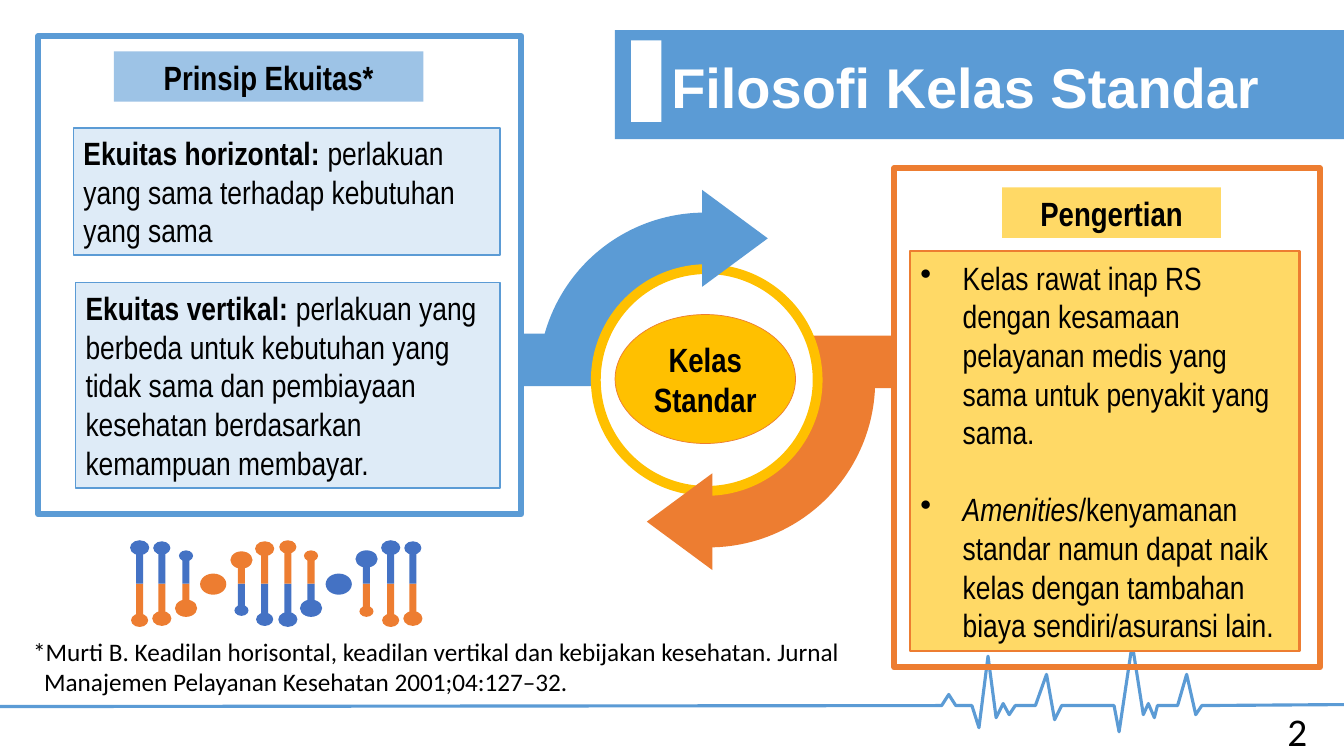
from lxml import etree
from pptx import Presentation
from pptx.dml.color import RGBColor
from pptx.enum.shapes import MSO_SHAPE
from pptx.enum.text import MSO_ANCHOR, PP_ALIGN
from pptx.oxml.ns import qn
from pptx.util import Inches, Pt

BLUE, ORANGE, GOLD = "5B9BD5", "ED7D31", "FFC000"
HEADING_BLUE, PALE_BLUE, DEEP_BLUE = "9DC3E6", "DEEBF7", "4472C4"
YELLOW, WHITE, BLACK = "FFD966", "FFFFFF", "000000"
NARROW = "Arial Narrow"

PULSE = [
    (0, 7.01), (9.34, 7), (9.41, 6.89), (9.48, 7), (9.64, 7), (9.71, 7.22),
    (9.8, 6.51), (9.88, 7.12), (9.95, 6.98), (10.01, 7.09), (10.07, 7),
    (10.27, 7), (10.38, 6.69), (10.46, 7.14), (10.53, 7), (11.05, 7),
    (11.1, 7.26), (11.23, 6.39), (11.34, 7.09), (11.39, 6.98), (11.45, 7.12),
    (11.48, 7), (11.68, 7), (11.77, 6.69), (11.86, 7.09), (11.92, 7), (13.33, 6.99),
]

# Each strand: centre x, reach from the axis, upper and lower ball widths.
HELIX_AXIS = 5.79
HELIX = [
    (DEEP_BLUE, ORANGE, [(1.385, 0.43, 0.19, 0.17), (1.605, 0.42, 0.17, 0.19),
                         (1.845, 0.33, 0.14, 0.22)]),
    (ORANGE, DEEP_BLUE, [(2.395, 0.32, 0.22, 0.14), (2.625, 0.42, 0.19, 0.17),
                         (2.855, 0.43, 0.17, 0.19), (3.085, 0.33, 0.14, 0.22)]),
    (DEEP_BLUE, ORANGE, [(3.635, 0.33, 0.22, 0.14), (3.875, 0.43, 0.19, 0.17),
                         (4.095, 0.42, 0.17, 0.19)]),
]
HELIX_NODES = [(2.115, ORANGE), (3.36, DEEP_BLUE)]


def color(value):
    return RGBColor.from_string(value)


def paint(shape, fill, line, width):
    shape.shadow.inherit = False
    if fill:
        shape.fill.solid()
        shape.fill.fore_color.rgb = color(fill)
    else:
        shape.fill.background()
    if line:
        shape.line.color.rgb = color(line)
        shape.line.width = Pt(width)
    else:
        shape.line.fill.background()


def add_figure(page, kind, place, fill=None, line=None, width=1, turn=0):
    figure = page.shapes.add_shape(kind, *map(Inches, place))
    figure.rotation = turn
    paint(figure, fill, line, width)
    return figure


def write(box, paragraphs, size, font=NARROW, ink=BLACK, bold=None,
          align=PP_ALIGN.LEFT, anchor=MSO_ANCHOR.MIDDLE, bullets=False):
    """Fill a box; each paragraph is a list of (text, style) pairs."""
    frame = box.text_frame
    frame.word_wrap = True
    frame.vertical_anchor = anchor
    for index, spans in enumerate(paragraphs):
        para = frame.add_paragraph() if index else frame.paragraphs[0]
        if bullets:
            indent(para, 0.42, -0.42)
            bullet = etree.SubElement(para._p.get_or_add_pPr(), qn("a:buChar"))
            bullet.set("char", "•")
        para.alignment = align
        para.font.size = Pt(size)
        para.font.name = font
        para.font.bold = bold
        para.font.color.rgb = color(ink)
        for text, style in spans:
            span = para.add_run()
            span.text = text
            if style == "bold":
                span.font.bold = True
            elif style == "italic":
                span.font.italic = True
    return frame.paragraphs


def indent(para, left, first=0):
    properties = para._p.get_or_add_pPr()
    properties.set("marL", str(Inches(left)))
    properties.set("indent", str(Inches(first)))


def add_label(page, kind, place, text, fill, line=None, width=1):
    label = add_figure(page, kind, place, fill, line, width)
    write(label, [[(text, None)]], 24, bold=True, align=PP_ALIGN.CENTER)


def add_principle(page, place, term, meaning):
    card = add_figure(page, MSO_SHAPE.RECTANGLE, place, PALE_BLUE, BLUE)
    write(card, [[(term, "bold"), (meaning, None)]], 23)


def add_text(page, place, lines, size, font, **options):
    box = page.shapes.add_textbox(*map(Inches, place))
    return write(box, [[(line, None)] for line in lines], size, font, **options)


def add_pulse(page):
    points = [(Inches(x), Inches(y)) for x, y in PULSE]
    builder = page.shapes.build_freeform(*points[0])
    builder.add_line_segments(points[1:], close=False)
    paint(builder.convert_to_shape(), None, BLUE, 2.25)


def add_cycle(page):
    add_figure(page, MSO_SHAPE.RECTANGLE, (5.19, 3.31, 0.7, 0.52), BLUE)
    add_figure(page, MSO_SHAPE.RECTANGLE, (8.07, 3.33, 0.8, 0.52), ORANGE)
    for left, top, fill, turn in [(5.34, 2.11, BLUE, 0), (5.38, 2.13, ORANGE, 180)]:
        sector = add_figure(page, MSO_SHAPE.PIE, (left, top, 3.3, 3.3), fill, turn=turn)
        sector.adjustments[0] = 107.755
        sector.adjustments[1] = 162
    add_figure(page, MSO_SHAPE.OVAL, (5.91, 2.67, 2.2, 2.2), WHITE, GOLD, 7)
    for left, top, fill, turn in [(6.81, 2.04, BLUE, 90), (6.26, 4.85, ORANGE, 270)]:
        add_figure(page, MSO_SHAPE.ISOSCELES_TRIANGLE, (left, top, 0.96, 0.65),
                   fill, turn=turn)


def add_half_strand(page, center, reach, ball, fill, upper):
    """Draw a stem from the helix axis with a ball at its outer end."""
    height = 0.78 * ball
    stem = reach - height + 0.02
    ball_top = HELIX_AXIS - reach if upper else HELIX_AXIS + reach - height
    stem_top = HELIX_AXIS - stem if upper else HELIX_AXIS
    add_figure(page, MSO_SHAPE.RECTANGLE, (center - 0.035, stem_top, 0.07, stem), fill)
    add_figure(page, MSO_SHAPE.OVAL, (center - ball / 2, ball_top, ball, height), fill)


def add_helix(page):
    for upper_fill, lower_fill, strands in HELIX:
        for center, reach, upper_ball, lower_ball in strands:
            add_half_strand(page, center, reach, lower_ball, lower_fill, False)
            add_half_strand(page, center, reach, upper_ball, upper_fill, True)
    for center, fill in HELIX_NODES:
        add_figure(page, MSO_SHAPE.OVAL, (center - 0.13, 5.69, 0.26, 0.21), fill)


def add_equity_panel(page):
    add_label(page, MSO_SHAPE.RECTANGLE, (1.13, 0.51, 3.07, 0.5),
              "Prinsip Ekuitas*", HEADING_BLUE)
    add_principle(page, (0.73, 1.27, 4.23, 1.26), "Ekuitas horizontal: ",
                  "perlakuan yang sama terhadap kebutuhan yang sama")
    add_principle(page, (0.75, 2.8, 4.21, 2.04), "Ekuitas vertikal: ",
                  "perlakuan yang berbeda untuk kebutuhan yang tidak sama dan "
                  "pembiayaan kesehatan berdasarkan kemampuan membayar.")
    add_figure(page, MSO_SHAPE.RECTANGLE, (0.38, 0.36, 4.79, 4.74), None, BLUE, 4.5)


def add_meaning_panel(page):
    card = add_figure(page, MSO_SHAPE.RECTANGLE, (9.03, 2.49, 3.86, 3.97),
                      YELLOW, ORANGE, 1.5)
    paragraphs = write(card, [
        [("Kelas rawat inap RS dengan kesamaan pelayanan medis yang sama "
          "untuk penyakit yang sama.", None)],
        [("Amenities", "italic"),
         ("/kenyamanan standar namun dapat naik kelas dengan tambahan "
          "biaya sendiri/asuransi lain.", None)],
    ], 23, bullets=True)
    paragraphs[1].space_before = Pt(27.5)
    add_label(page, MSO_SHAPE.RECTANGLE, (9.94, 1.86, 2.17, 0.5), "Pengertian", YELLOW)
    add_figure(page, MSO_SHAPE.RECTANGLE, (8.87, 1.67, 4.22, 4.95), None, ORANGE, 4.5)


def add_title(page):
    add_figure(page, MSO_SHAPE.RECTANGLE, (6.1, 0.3, 7.23, 1.08), BLUE)
    title = add_text(page, (6.56, 0.51, 6.53, 0.78), ["Filosofi Kelas Standar"],
                     40, "Arial", ink=WHITE, bold=True)
    title[0].line_spacing = 0.9
    add_figure(page, MSO_SHAPE.RECTANGLE, (6.26, 0.4, 0.3, 0.81), WHITE)


def main():
    deck = Presentation()
    deck.slide_width, deck.slide_height = Inches(13.33), Inches(7.5)
    page = deck.slides.add_slide(deck.slide_layouts[6])
    add_pulse(page)
    add_cycle(page)
    add_equity_panel(page)
    add_meaning_panel(page)
    add_label(page, MSO_SHAPE.OVAL, (6.1, 3.12, 1.79, 1.28), "Kelas Standar",
              GOLD, ORANGE, 0.5)
    add_title(page)
    add_helix(page)
    footnote = add_text(page, (0.23, 6.26, 8.8, 0.71), [
        "*Murti B. Keadilan horisontal, keadilan vertikal dan kebijakan kesehatan. Jurnal",
        "Manajemen Pelayanan Kesehatan 2001;04:127–32.",
    ], 18, "Calibri", anchor=MSO_ANCHOR.TOP)
    indent(footnote[1], 0.11)
    add_text(page, (12.67, 6.97, 0.77, 0.57), ["2"], 28, "Calibri", anchor=MSO_ANCHOR.TOP)
    deck.save("out.pptx")


if __name__ == "__main__":
    main()
